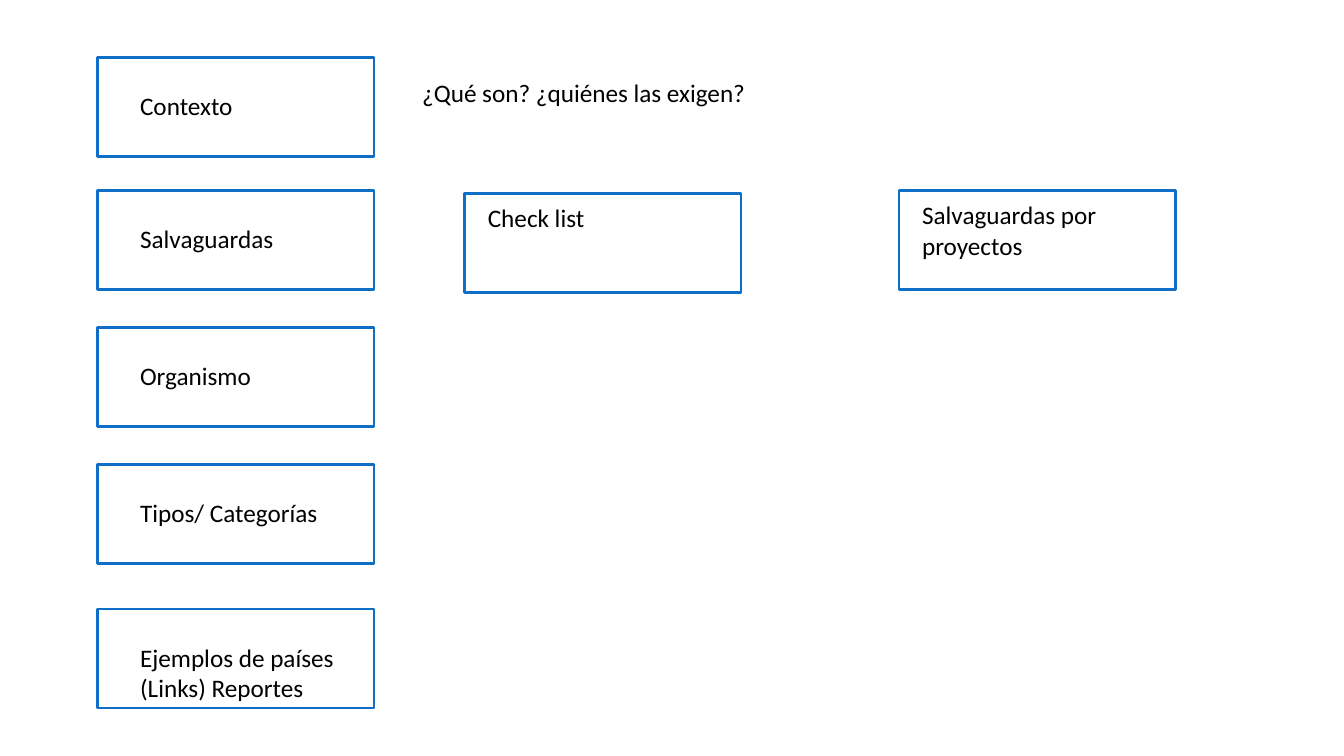
from pptx import Presentation
from pptx.util import Pt
from pptx.dml.color import RGBColor
from pptx.enum import shapes, text

theme = {
    "line": RGBColor.from_string("0F6FC6"),
    "ink": RGBColor.from_string("000000"),
    "font": "Calibri",
    "size": Pt(18),
}

deck = Presentation()
deck.slide_width, deck.slide_height = Pt(960), Pt(540)
slide = deck.slides.add_slide(deck.slide_layouts[6])


def add_box(left, top):
    box = slide.shapes.add_shape(
        shapes.MSO_SHAPE.RECTANGLE, Pt(left), Pt(top), Pt(197.4), Pt(70.8))
    box.shadow.inherit = False
    box.fill.background()
    box.line.color.rgb = theme["line"]
    box.line.width = Pt(2)


def add_label(words, left, top, width=160.6, height=29):
    label = slide.shapes.add_textbox(Pt(left), Pt(top), Pt(width), Pt(height))
    frame = label.text_frame
    frame.word_wrap = True
    frame.auto_size = text.MSO_AUTO_SIZE.SHAPE_TO_FIT_TEXT
    run = frame.paragraphs[0].add_run()
    run.text = words
    run.font.name = theme["font"]
    run.font.size = theme["size"]
    run.font.color.rgb = theme["ink"]


topics = [
    ("Contexto", 41, 29),
    ("Salvaguardas", 136, 29),
    ("Organismo", 234, 29),
    ("Tipos/ Categorías", 332, 29),
    ("Ejemplos de países (Links) Reportes", 435, 51),
]
for words, top, height in topics:
    add_box(69.8, top)
    add_label(words, 93, top + 20, height=height)

add_label("¿Qué son? ¿quiénes las exigen?", 294.5, 52, width=437.8)

details = [
    ("Salvaguardas por proyectos", 642.2, 136, 51),
    ("Check list", 332, 138, 29),
]
for words, left, top, height in details:
    add_box(left, top)
    add_label(words, left + 9.4, top + 3, height=height)

deck.save("out.pptx")
